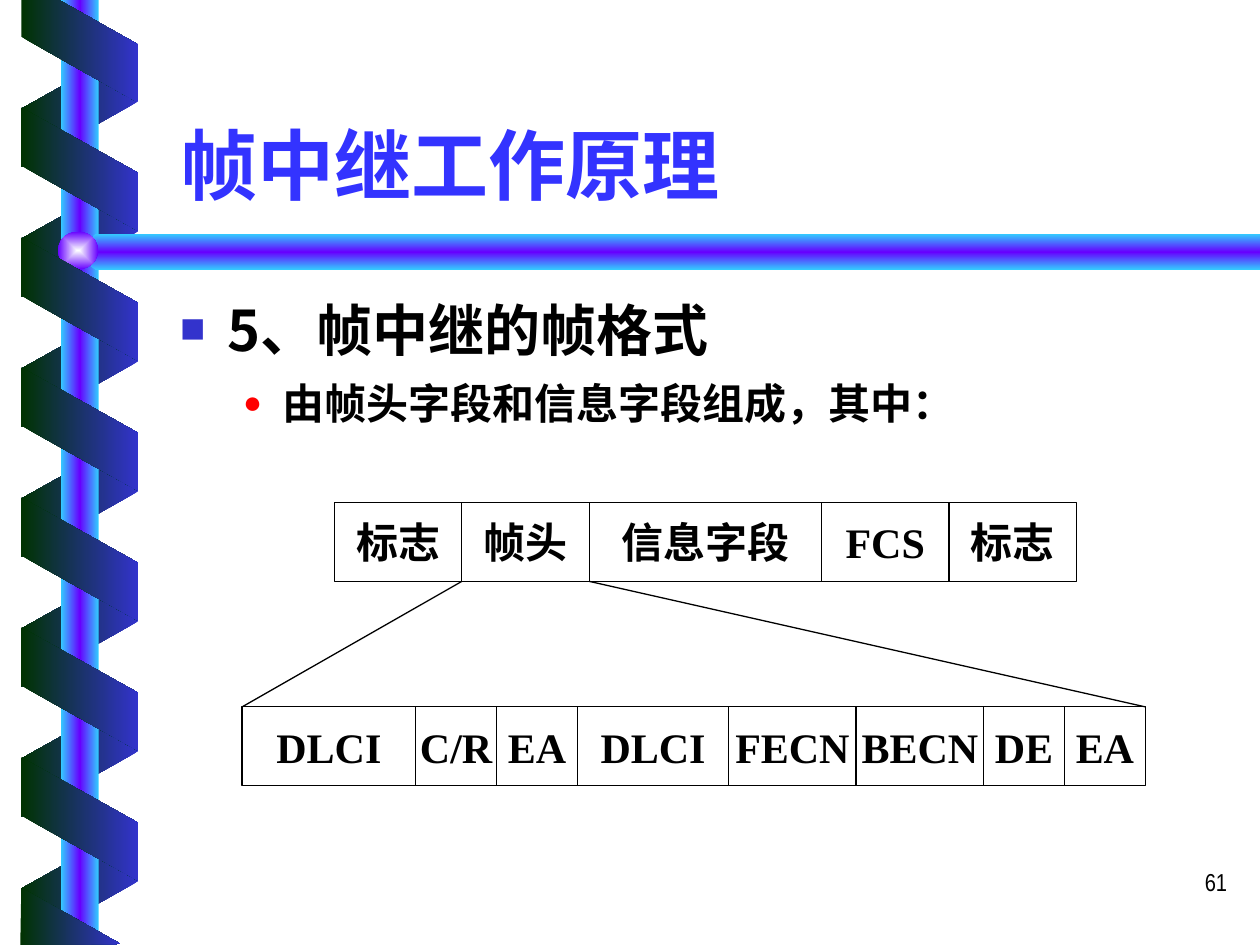
"""Build the slide on the frame relay frame format."""
from dataclasses import dataclass
from itertools import accumulate

from lxml import etree
from pptx import Presentation
from pptx.dml.color import RGBColor
from pptx.enum.shapes import MSO_CONNECTOR, MSO_SHAPE
from pptx.enum.text import MSO_ANCHOR, MSO_AUTO_SIZE, PP_ALIGN
from pptx.oxml import parse_xml
from pptx.oxml.ns import nsdecls, qn
from pptx.util import Cm, Pt

RECTANGLE, OVAL, BAND = MSO_SHAPE.RECTANGLE, MSO_SHAPE.OVAL, MSO_SHAPE.PARALLELOGRAM
STRAIGHT = MSO_CONNECTOR.STRAIGHT
LEFT, CENTER, RIGHT = PP_ALIGN.LEFT, PP_ALIGN.CENTER, PP_ALIGN.RIGHT
TOP, MIDDLE, BOTTOM = MSO_ANCHOR.TOP, MSO_ANCHOR.MIDDLE, MSO_ANCHOR.BOTTOM
NO_AUTOFIT = MSO_AUTO_SIZE.NONE


@dataclass(frozen=True)
class Theme:
    heading_font: str = "Noto Sans CJK SC"
    field_font: str = "Times New Roman"
    number_font: str = "Arial Narrow"
    ink: str = "000000"
    title: str = "3333FF"
    square: str = "3333CC"
    dot: str = "FF0000"
    ribbon_dark: str = "003300"
    ribbon_light: str = "3333CC"
    pole_edge: str = "33CCFF"
    pole_core: str = "6600FF"
    glow: str = "FEFFFF"
    title_size: int = 44
    point_size: int = 32
    text_size: int = 24
    number_size: int = 14
    line_width: float = 0.75


THEME = Theme()

TITLE = "帧中继工作原理"
POINTS = [
    ("5、帧中继的帧格式", dict(size=THEME.point_size, spacing=1.1, level=0,
                       bullet=("■", THEME.square, 0.96, -0.96))),
    ("由帧头字段和信息字段组成，其中：", dict(size=THEME.text_size, spacing=1.3, level=1,
                              bullet=("●", THEME.dot, 2.06, -0.79))),
]
PAGE_NUMBER = "61"
FRAME = [("标志", 2.57), ("帧头", 2.57), ("信息字段", 4.68), ("FCS", 2.57), ("标志", 2.57)]
HEADER = [("DLCI", 3.5), ("C/R", 1.63), ("EA", 1.63), ("DLCI", 3.05),
          ("FECN", 2.57), ("BECN", 2.57), ("DE", 1.63), ("EA", 1.63)]
FRAME_LEFT, FRAME_TOP = 6.74, 10.13
HEADER_LEFT, HEADER_TOP = 4.88, 14.25
FIELD_HEIGHT = 1.59

RIBBON_PITCH = 2.62
REAR_TOP, REAR_COUNT = 0.94, 7
FRONT_TOP, FRONT_COUNT = 2.23, 6
RIBBON_START = [(0.43, 0), (0.43, 0.74), (2.77, 2.06), (2.77, 0.89), (1.19, 0)]
RIBBON_END = [(2.43, 19.03), (0.43, 17.9), (0.41, 19.05)]
BAR = [(25.4, 4.72), (1.93, 4.72), (1.52, 5.08), (1.93, 5.44), (25.4, 5.44)]

RIBBON = [(0, THEME.ribbon_dark), (100, THEME.ribbon_light)]
RIBBON_REAR = [(0, THEME.ribbon_light), (100, THEME.ribbon_dark)]
POLE = [(0, THEME.pole_edge), (50, THEME.pole_core), (100, THEME.pole_edge)]
KNOB = [(0, THEME.glow), (100, THEME.pole_core)]


def paint(shape, stops, angle=0, radial=False):
    shape.shadow.inherit = False
    shape.line.fill.background()
    shape.fill.background()
    marks = "".join(f'<a:gs pos="{place * 1000}"><a:srgbClr val="{color}"/></a:gs>'
                    for place, color in stops)
    if radial:
        course = ('<a:path path="rect"><a:fillToRect l="50000" t="50000" '
                  'r="50000" b="50000"/></a:path>')
    else:
        course = f'<a:lin ang="{angle * 60000}" scaled="0"/>'
    gradient = parse_xml(f'<a:gradFill {nsdecls("a")} rotWithShape="0">'
                         f'<a:gsLst>{marks}</a:gsLst>{course}</a:gradFill>')
    properties = shape.element.spPr
    properties.replace(properties.find(qn("a:noFill")), gradient)


def add_bullet(para, sign, color, margin, indent):
    properties = para._p.get_or_add_pPr()
    properties.set("marL", str(Cm(margin)))
    properties.set("indent", str(Cm(indent)))
    for markup in (f'<a:buClr {nsdecls("a")}><a:srgbClr val="{color}"/></a:buClr>',
                   f'<a:buSzPct {nsdecls("a")} val="75000"/>',
                   f'<a:buFont {nsdecls("a")} typeface="{THEME.field_font}"/>',
                   f'<a:buChar {nsdecls("a")} char="{sign}"/>'):
        properties.append(parse_xml(markup))


def write(para, text, font=THEME.heading_font, size=THEME.text_size, color=THEME.ink,
          bold=True, align=LEFT, spacing=None, level=0, bullet=None):
    if bullet:
        add_bullet(para, *bullet)
    para.alignment, para.level = align, level
    if spacing:
        para.line_spacing = spacing
        para.space_before = Pt(0)
    span = para.add_run()
    span.text = text
    span.font.name, span.font.size, span.font.bold = font, Pt(size), bold
    span.font.color.rgb = RGBColor.from_string(color)
    etree.SubElement(span._r.get_or_add_rPr(), qn("a:ea"), typeface=THEME.heading_font)


def prepare(box, anchor=TOP, wrap=True):
    frame = box.text_frame
    frame.word_wrap, frame.auto_size = wrap, NO_AUTOFIT
    frame.vertical_anchor = anchor
    return frame


def add_ribbons(page, top, count, stops, rotation, mirrored=False):
    for index in range(count):
        band = page.shapes.add_shape(BAND, Cm(0.36), Cm(top + index * RIBBON_PITCH),
                                     Cm(2.49), Cm(2.36))
        band.adjustments[0] = 0.56
        band.rotation = rotation
        if mirrored:
            band.element.spPr.xfrm.set("flipH", "1")
        paint(band, stops)


def add_outline(page, points, stops, angle=0):
    corners = [(Cm(x), Cm(y)) for x, y in points]
    builder = page.shapes.build_freeform(*corners[0])
    builder.add_line_segments(corners[1:], close=True)
    paint(builder.convert_to_shape(), stops, angle)


def add_fields(page, fields, left, top):
    edges = list(accumulate((width for _, width in fields), initial=left))
    for (label, width), edge in zip(fields, edges):
        box = page.shapes.add_shape(RECTANGLE, Cm(edge), Cm(top), Cm(width), Cm(FIELD_HEIGHT))
        box.shadow.inherit = False
        box.fill.background()
        box.line.color.rgb = RGBColor.from_string(THEME.ink)
        box.line.width = Pt(THEME.line_width)
        frame = prepare(box, MIDDLE, wrap=False)
        frame.margin_left = frame.margin_right = frame.margin_top = frame.margin_bottom = 0
        write(frame.paragraphs[0], label, font=THEME.field_font, align=CENTER)
    return edges


def add_line(page, start, end):
    line = page.shapes.add_connector(STRAIGHT, *map(Cm, start + end))
    line.line.color.rgb = RGBColor.from_string(THEME.ink)
    line.line.width = Pt(THEME.line_width)
    etree.SubElement(line.element.spPr, qn("a:effectLst"))


def add_decoration(page):
    add_ribbons(page, REAR_TOP, REAR_COUNT, RIBBON_REAR, 90, mirrored=True)
    paint(page.shapes.add_shape(RECTANGLE, Cm(1.23), 0, Cm(0.76), Cm(19.05)), POLE)
    add_outline(page, BAR, POLE, 90)
    knob = page.shapes.add_shape(OVAL, Cm(1.17), Cm(4.67), Cm(0.81), Cm(0.76))
    paint(knob, KNOB, radial=True)
    add_ribbons(page, FRONT_TOP, FRONT_COUNT, RIBBON, 270)
    for points in (RIBBON_START, RIBBON_END):
        add_outline(page, points, RIBBON)


def add_texts(page):
    title = page.shapes.title
    title.left, title.top, title.width, title.height = Cm(3.38), Cm(1.17), Cm(21.59), Cm(3.18)
    write(prepare(title, BOTTOM).paragraphs[0], TITLE, size=THEME.title_size, color=THEME.title)
    body = prepare(page.shapes.add_textbox(Cm(3.38), Cm(5.69), Cm(21.59), Cm(3.66)))
    for index, (text, style) in enumerate(POINTS):
        write(body.add_paragraph() if index else body.paragraphs[0], text, **style)
    number = page.shapes.add_textbox(Cm(19.71), Cm(17.35), Cm(5.28), Cm(1.27))
    write(prepare(number).paragraphs[0], PAGE_NUMBER, font=THEME.number_font,
          size=THEME.number_size, bold=False, align=RIGHT)


def main():
    deck = Presentation()
    deck.slide_width, deck.slide_height = Cm(25.4), Cm(19.05)
    page = deck.slides.add_slide(deck.slide_layouts[5])
    add_decoration(page)
    add_texts(page)
    frame_edges = add_fields(page, FRAME, FRAME_LEFT, FRAME_TOP)
    header_edges = add_fields(page, HEADER, HEADER_LEFT, HEADER_TOP)
    for start, end in ((frame_edges[1], header_edges[0]), (frame_edges[2], header_edges[-1])):
        add_line(page, (start, FRAME_TOP + FIELD_HEIGHT), (end, HEADER_TOP))
    deck.save("out.pptx")


if __name__ == "__main__":
    main()
